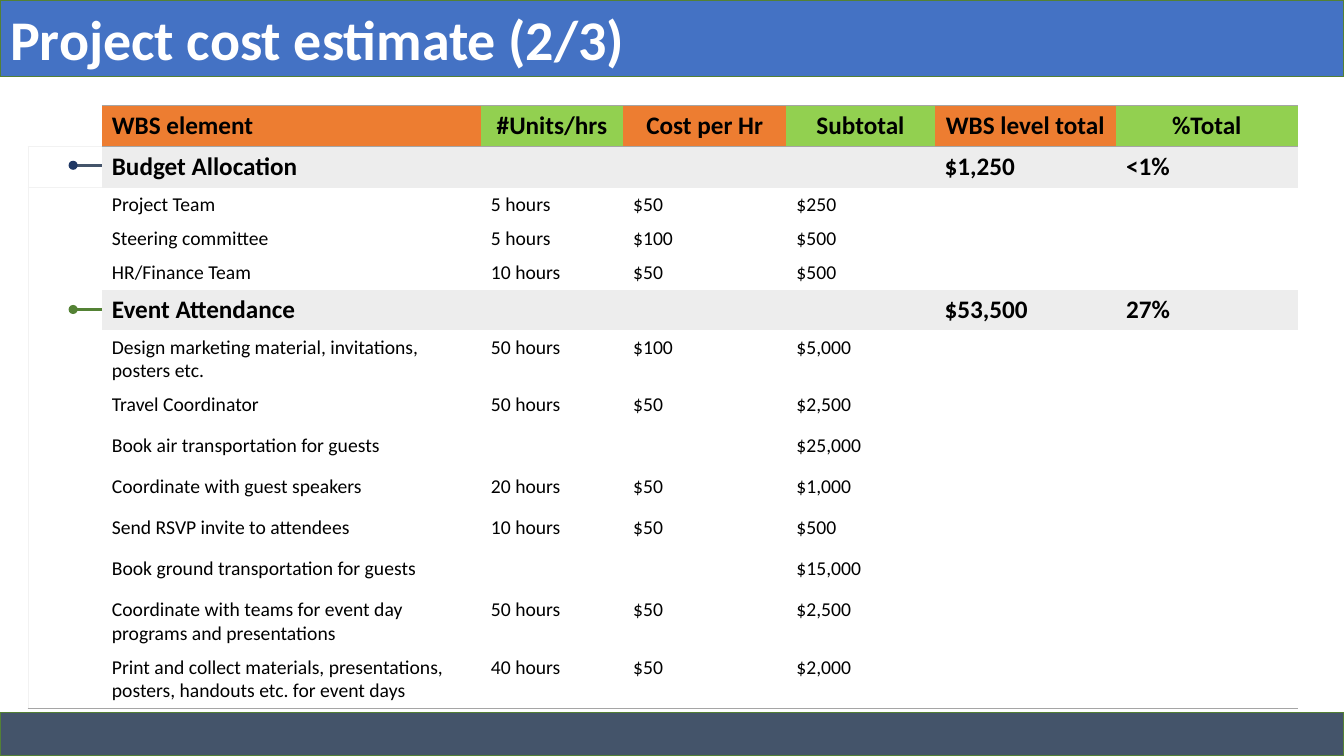
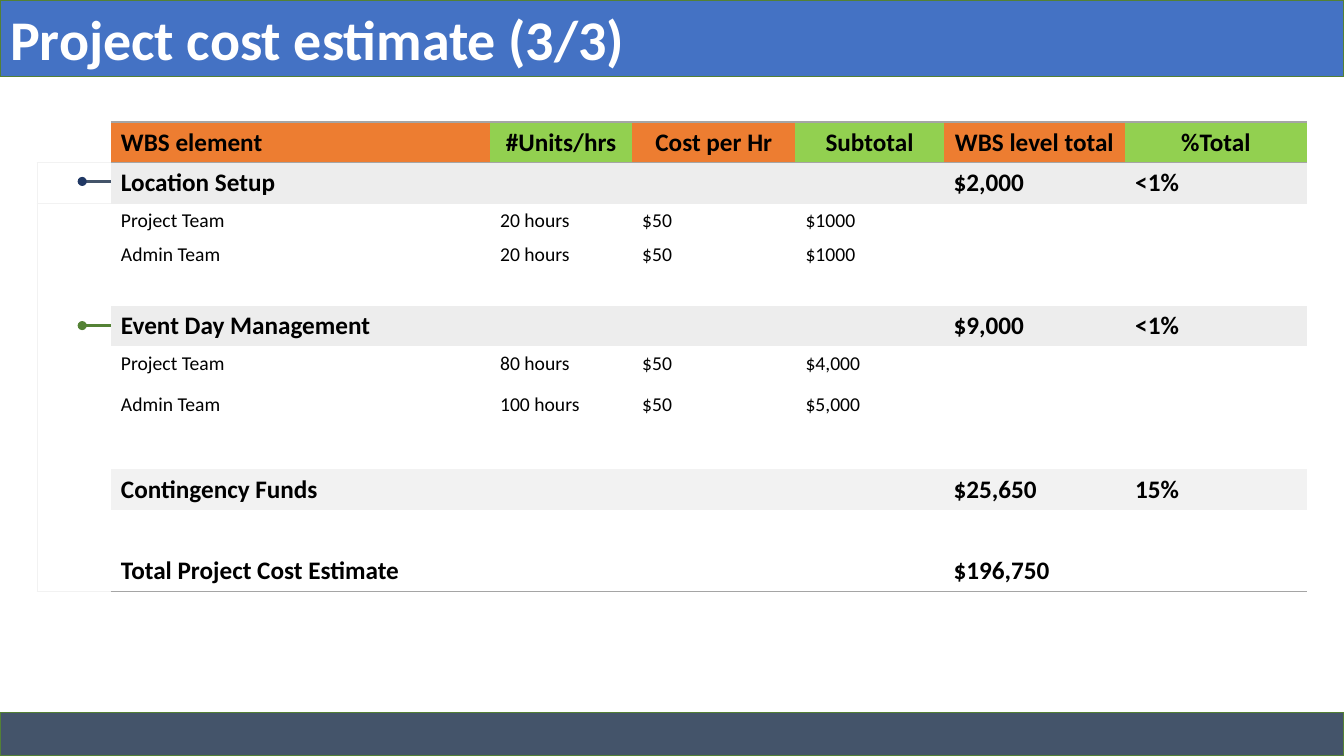
"""Build the two project cost estimate slides, each with a WBS table and section markers."""
from lxml.etree import SubElement
from pptx import Presentation
from pptx.dml.color import RGBColor
from pptx.enum.shapes import MSO_CONNECTOR, MSO_SHAPE
from pptx.enum.text import MSO_ANCHOR, MSO_AUTO_SIZE, PP_ALIGN
from pptx.oxml.ns import qn
from pptx.util import Inches, Pt

COLORS = {
    "title": "4472C4", "footer": "44546A", "edge": "538035",
    "orange": "ED7D31", "green": "92D050", "section": "EDEDED",
    "reserve": "F2F2F2", "white": "FFFFFF", "black": "000000",
    "rule": "A5A5A5", "faint": "F2F2F2",
    "navy": "203864", "slate": "44546A", "moss": "548235",
}
FONT = "Calibri"
NO_GRID_STYLE = "{2D5ABB26-0587-4C30-8999-92F81FD0307C}"
COLUMN_WIDTHS = [0.73, 3.76, 1.41, 1.62, 1.47, 1.8, 1.8]
HEADER = ("header", "WBS element", "#Units/hrs", "Cost per Hr", "Subtotal",
          "WBS level total", "%Total")
ROW_STYLES = {
    "header": {"height": 0.4, "size": 18, "empty": 18, "fill": "white"},
    "section": {"height": 0.4, "size": 18, "empty": 18, "fill": "section"},
    "reserve": {"height": 0.4, "size": 18, "empty": 18, "fill": "reserve"},
    "total": {"height": 0.4, "size": 18, "empty": 18, "fill": "white"},
    "tight": {"height": 0.33, "size": 14, "empty": 14, "fill": "white"},
    "roomy": {"height": 0.4, "size": 14, "empty": 18, "fill": "white"},
    "double": {"height": 0.57, "size": 14, "empty": 18, "fill": "white"},
}
MARKERS = [("slate", "navy"), ("moss", "moss")]
SLIDES = [
    {"title": "Project cost estimate (2/3)", "left": 0.28, "top": 1.05, "corner": "rule", "rows": [
        HEADER,
        ("section", "Budget Allocation", "", "", "", "$1,250", "<1%"),
        ("tight", "Project Team", "5 hours", "$50", "$250", "", ""),
        ("tight", "Steering committee", "5 hours", "$100", "$500", "", ""),
        ("tight", "HR/Finance Team", "10 hours", "$50", "$500", "", ""),
        ("section", "Event Attendance", "", "", "", "$53,500", "27%"),
        ("double", "Design marketing material, invitations, posters etc.",
         "50 hours", "$100", "$5,000", "", ""),
        ("roomy", "Travel Coordinator", "50 hours", "$50", "$2,500", "", ""),
        ("roomy", "Book air transportation for guests", "", "", "$25,000", "", ""),
        ("roomy", "Coordinate with guest speakers", "20 hours", "$50", "$1,000", "", ""),
        ("roomy", "Send RSVP invite to attendees", "10 hours", "$50", "$500", "", ""),
        ("roomy", "Book ground transportation for guests", "", "", "$15,000", "", ""),
        ("double", "Coordinate with teams for event day programs and presentations",
         "50 hours", "$50", "$2,500", "", ""),
        ("double", "Print and collect materials, presentations, posters, handouts etc. for event days",
         "40 hours", "$50", "$2,000", "", ""),
    ]},
    {"title": "Project cost estimate (3/3)", "left": 0.37, "top": 1.21, "corner": "faint", "rows": [
        HEADER,
        ("section", "Location Setup", "", "", "", "$2,000", "<1%"),
        ("tight", "Project Team", "20 hours", "$50", "$1000", "", ""),
        ("tight", "Admin Team", "20 hours", "$50", "$1000", "", ""),
        ("tight", "", "", "", "", "", ""),
        ("section", "Event Day Management", "", "", "", "$9,000", "<1%"),
        ("roomy", "Project Team", "80 hours", "$50", "$4,000", "", ""),
        ("roomy", "Admin Team", "100 hours", "$50", "$5,000", "", ""),
        ("roomy", "", "", "", "", "", ""),
        ("reserve", "Contingency Funds", "", "", "", "$25,650", "15%"),
        ("roomy", "", "", "", "", "", ""),
        ("total", "Total Project Cost Estimate", "", "", "", "$196,750", ""),
    ]},
]


def paint(shape, fill, edge=None):
    shape.fill.solid()
    shape.fill.fore_color.rgb = RGBColor.from_string(COLORS[fill])
    if edge:
        shape.line.color.rgb = RGBColor.from_string(COLORS[edge])
        shape.line.width = Pt(1)
    else:
        shape.line.fill.background()


def add_span(paragraph, text, size, color, bold):
    span = paragraph.add_run()
    span.text = text
    span.font.name = FONT
    span.font.size = Pt(size)
    span.font.bold = bold
    span.font.color.rgb = RGBColor.from_string(COLORS[color])


deck = Presentation()
deck.slide_width = Inches(13.33)
deck.slide_height = Inches(7.5)

for content in SLIDES:
    page = deck.slides.add_slide(deck.slide_layouts[5])
    left, top, rows = content["left"], content["top"], content["rows"]

    title = page.shapes.title
    title.left, title.top = Inches(0), Inches(0)
    title.width, title.height = deck.slide_width, Inches(0.76)
    paint(title, "title", "edge")
    title.text_frame.auto_size = MSO_AUTO_SIZE.NONE
    title.text_frame.vertical_anchor = MSO_ANCHOR.MIDDLE
    paragraph = title.text_frame.paragraphs[0]
    paragraph.alignment = PP_ALIGN.LEFT
    add_span(paragraph, content["title"], 40, "white", True)

    heights = [ROW_STYLES[row[0]]["height"] for row in rows]
    frame = page.shapes.add_table(len(rows), len(COLUMN_WIDTHS), Inches(left), Inches(top),
                                  Inches(sum(COLUMN_WIDTHS)), Inches(sum(heights)))
    table = frame.table
    table.horz_banding = False
    table._tbl.tblPr.find(qn("a:tableStyleId")).text = NO_GRID_STYLE
    for column, width in zip(table.columns, COLUMN_WIDTHS):
        column.width = Inches(width)

    for row_index, (kind, *texts) in enumerate(rows):
        style = ROW_STYLES[kind]
        table.rows[row_index].height = Inches(style["height"])
        is_header, is_last = kind == "header", row_index == len(rows) - 1
        for column_index, text in enumerate(["", *texts]):
            cell = table.cell(row_index, column_index)
            borders = {}
            fill = style["fill"]
            if column_index == 0:
                fill = "white"
                if is_header:
                    borders["a:lnB"] = "faint"
                else:
                    borders["a:lnL"] = "faint"
                    if row_index == 1:
                        borders["a:lnT"] = "faint"
                    if is_last:
                        borders["a:lnB"] = content["corner"]
            elif is_header:
                fill = "orange" if column_index % 2 else "green"
                borders = {"a:lnT": "rule", "a:lnB": "rule"}
            elif is_last:
                borders["a:lnB"] = "rule"

            for side, color in borders.items():
                border = SubElement(cell._tc.get_or_add_tcPr(), qn(side), w=str(Pt(1)))
                solid = SubElement(border, qn("a:solidFill"))
                SubElement(solid, qn("a:srgbClr"), val=COLORS[color])
            cell.fill.solid()
            cell.fill.fore_color.rgb = RGBColor.from_string(COLORS[fill])

            paragraph = cell.text_frame.paragraphs[0]
            if is_header:
                cell.vertical_anchor = MSO_ANCHOR.MIDDLE
                if column_index > 1:
                    paragraph.alignment = PP_ALIGN.CENTER
            if text:
                add_span(paragraph, text, style["size"], "black", style["size"] == 18)
            else:
                SubElement(paragraph._p, qn("a:endParaRPr"), sz=str(style["empty"] * 100))

    for marker_index, (line_color, dot_color) in enumerate(MARKERS):
        middle = top + 0.59 + 1.43 * marker_index
        marker = page.shapes.add_group_shape()
        stem = marker.shapes.add_connector(MSO_CONNECTOR.STRAIGHT, Inches(left + 0.45), Inches(middle),
                                           Inches(left + 0.73), Inches(middle))
        stem.line.color.rgb = RGBColor.from_string(COLORS[line_color])
        stem.line.width = Pt(2.25)
        SubElement(stem._element.spPr, qn("a:effectLst"))
        dot = marker.shapes.add_shape(MSO_SHAPE.OVAL, Inches(left + 0.4), Inches(middle - 0.045),
                                      Inches(0.09), Inches(0.09))
        dot.shadow.inherit = False
        paint(dot, dot_color)

    footer = page.shapes.add_shape(MSO_SHAPE.RECTANGLE, Inches(0), Inches(7.07),
                                   deck.slide_width, Inches(0.43))
    footer.shadow.inherit = False
    paint(footer, "footer", "edge")

deck.save("out.pptx")
